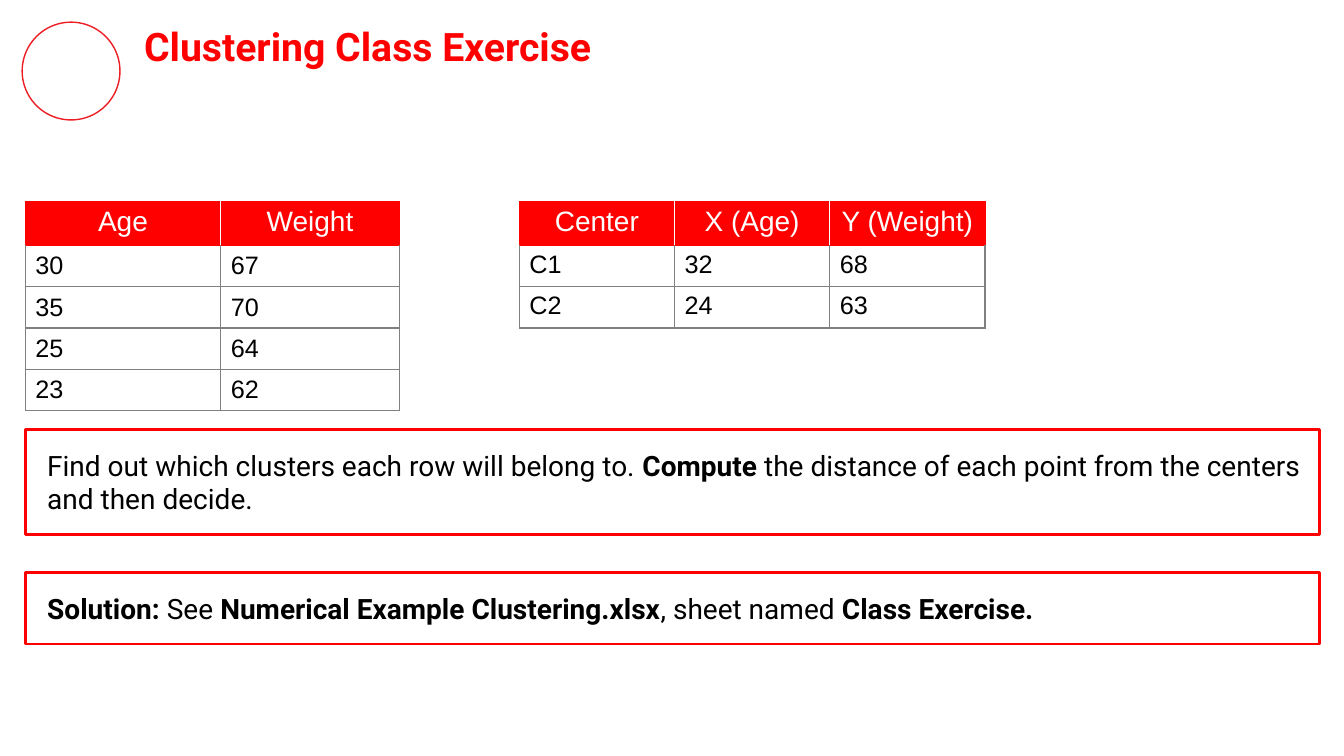
from dataclasses import dataclass

from lxml.etree import SubElement
from pptx import Presentation
from pptx.dml.color import RGBColor
from pptx.enum.shapes import MSO_SHAPE
from pptx.enum.text import MSO_ANCHOR, MSO_AUTO_SIZE, PP_ALIGN
from pptx.oxml.ns import qn
from pptx.slide import Slide
from pptx.table import _Cell
from pptx.text.text import TextFrame, _Paragraph
from pptx.util import Emu, Pt


@dataclass(frozen=True)
class Theme:
    red: str = "FF0000"
    title_red: str = "FF0001"
    ring_red: str = "ED1D24"
    grey: str = "808080"
    white: str = "FFFFFF"
    black: str = "000000"
    heading_font: str = "Roboto"
    table_font: str = "Arial"
    title_size: int = 28
    text_size: int = 20
    cell_size: int = 18


@dataclass(frozen=True)
class Box:
    left: int
    top: int
    width: int
    height: int


@dataclass(frozen=True)
class DataTable:
    left: int
    widths: tuple[int, ...]
    rows: tuple[tuple[str, ...], ...]
    body_anchor: MSO_ANCHOR


@dataclass(frozen=True)
class Run:
    text: str
    bold: bool = False


@dataclass(frozen=True)
class Note:
    box: Box
    runs: tuple[Run, ...]


THEME = Theme()
PX = 9144
TABLE_TOP = 200
ROW_HEIGHT = 41
INSET = 10
NOTE_INDENT = 12

TITLE = "Clustering Class Exercise"
RING_BOX = Box(22, 22, 97, 97)
TITLE_BOX = Box(133, 12, 1118, 67)

TABLES = (
    DataTable(25, (194, 177), (
        ("Age", "Weight"),
        ("30", "67"),
        ("35", "70"),
        ("25", "64"),
        ("23", "62"),
    ), MSO_ANCHOR.MIDDLE),
    DataTable(515, (154, 154, 154), (
        ("Center", "X (Age)", "Y (Weight)"),
        ("C1", "32", "68"),
        ("C2", "24", "63"),
    ), MSO_ANCHOR.TOP),
)

NOTES = (
    Note(Box(25, 426, 1284, 104), (
        Run("Find out which clusters each row will belong to. "),
        Run("Compute", True),
        Run(" the distance of each point from the centers and then decide."),
    )),
    Note(Box(25, 568, 1284, 71), (
        Run("Solution: ", True),
        Run("See "),
        Run("Numerical Example Clustering.xlsx", True),
        Run(", sheet named "),
        Run("Class Exercise.", True),
    )),
)


def px(length: int) -> Emu:
    return Emu(length * PX)


def place(box: Box) -> tuple[Emu, Emu, Emu, Emu]:
    return px(box.left), px(box.top), px(box.width), px(box.height)


def rgb(colour: str) -> RGBColor:
    return RGBColor.from_string(colour)


def style(paragraph: _Paragraph, face: str, size: int, colour: str) -> None:
    paragraph.font.name = face
    paragraph.font.size = Pt(size)
    paragraph.font.color.rgb = rgb(colour)


def prepare(frame: TextFrame) -> None:
    frame.word_wrap = True
    frame.auto_size = MSO_AUTO_SIZE.SHAPE_TO_FIT_TEXT
    frame.margin_left = frame.margin_right = px(INSET)
    frame.margin_top = frame.margin_bottom = px(INSET)


def add_ring(slide: Slide) -> None:
    ring = slide.shapes.add_shape(MSO_SHAPE.OVAL, *place(RING_BOX))
    ring.shadow.inherit = False
    ring.fill.background()
    ring.line.color.rgb = rgb(THEME.ring_red)
    ring.line.width = Pt(1)


def add_title(slide: Slide) -> None:
    frame = slide.shapes.add_textbox(*place(TITLE_BOX)).text_frame
    prepare(frame)
    heading = frame.paragraphs[0]
    heading.text = TITLE
    style(heading, THEME.heading_font, THEME.title_size, THEME.title_red)
    heading.font.bold = True


def set_borders(cell: _Cell, left: str, right: str, top: str, bottom: str) -> None:
    properties = cell._tc.get_or_add_tcPr()
    for side, colour in zip("LRTB", (left, right, top, bottom)):
        border = SubElement(properties, qn(f"a:ln{side}"), w=str(Pt(1)))
        SubElement(SubElement(border, qn("a:solidFill")), qn("a:srgbClr"), val=colour)


def fill_cell(cell: _Cell, text: str, row: int, column: int, data: DataTable) -> None:
    entry = cell.text_frame.paragraphs[0]
    entry.text = text
    if row == 0:
        left = THEME.red if column == 0 else THEME.white
        right = THEME.red if column == len(data.widths) - 1 else THEME.white
        set_borders(cell, left, right, THEME.red, THEME.red)
        entry.alignment = PP_ALIGN.CENTER
        style(entry, THEME.table_font, THEME.text_size, THEME.white)
    else:
        top = THEME.red if row == 1 else THEME.grey
        set_borders(cell, THEME.grey, THEME.grey, top, THEME.grey)
        cell.vertical_anchor = data.body_anchor
        style(entry, THEME.table_font, THEME.cell_size, THEME.black)
    cell.fill.solid()
    cell.fill.fore_color.rgb = rgb(THEME.red if row == 0 else THEME.white)


def add_data_table(slide: Slide, data: DataTable) -> None:
    box = Box(data.left, TABLE_TOP, sum(data.widths), ROW_HEIGHT * len(data.rows))
    table = slide.shapes.add_table(len(data.rows), len(data.widths), *place(box)).table
    table.first_row = table.horz_banding = False
    for column, width in zip(table.columns, data.widths):
        column.width = px(width)
    for row, texts in enumerate(data.rows):
        table.rows[row].height = px(ROW_HEIGHT)
        for column, text in enumerate(texts):
            fill_cell(table.cell(row, column), text, row, column, data)


def add_note(slide: Slide, note: Note) -> None:
    panel = slide.shapes.add_shape(MSO_SHAPE.RECTANGLE, *place(note.box))
    panel.shadow.inherit = False
    panel.fill.solid()
    panel.fill.fore_color.rgb = rgb(THEME.white)
    panel.line.color.rgb = rgb(THEME.red)
    panel.line.width = Pt(2)
    prepare(panel.text_frame)
    panel.text_frame.vertical_anchor = MSO_ANCHOR.MIDDLE
    sentence = panel.text_frame.paragraphs[0]
    sentence.alignment = PP_ALIGN.LEFT
    sentence.space_after = Pt(12)
    sentence._p.get_or_add_pPr().set("marL", str(px(NOTE_INDENT)))
    style(sentence, THEME.heading_font, THEME.text_size, THEME.black)
    for part in note.runs:
        run = sentence.add_run()
        run.text = part.text
        run.font.bold = part.bold


def main() -> None:
    deck = Presentation()
    deck.slide_width, deck.slide_height = px(1333), px(750)
    slide = deck.slides.add_slide(deck.slide_layouts[6])
    add_ring(slide)
    add_title(slide)
    for data in TABLES:
        add_data_table(slide, data)
    for note in NOTES:
        add_note(slide, note)
    deck.save("out.pptx")


if __name__ == "__main__":
    main()
